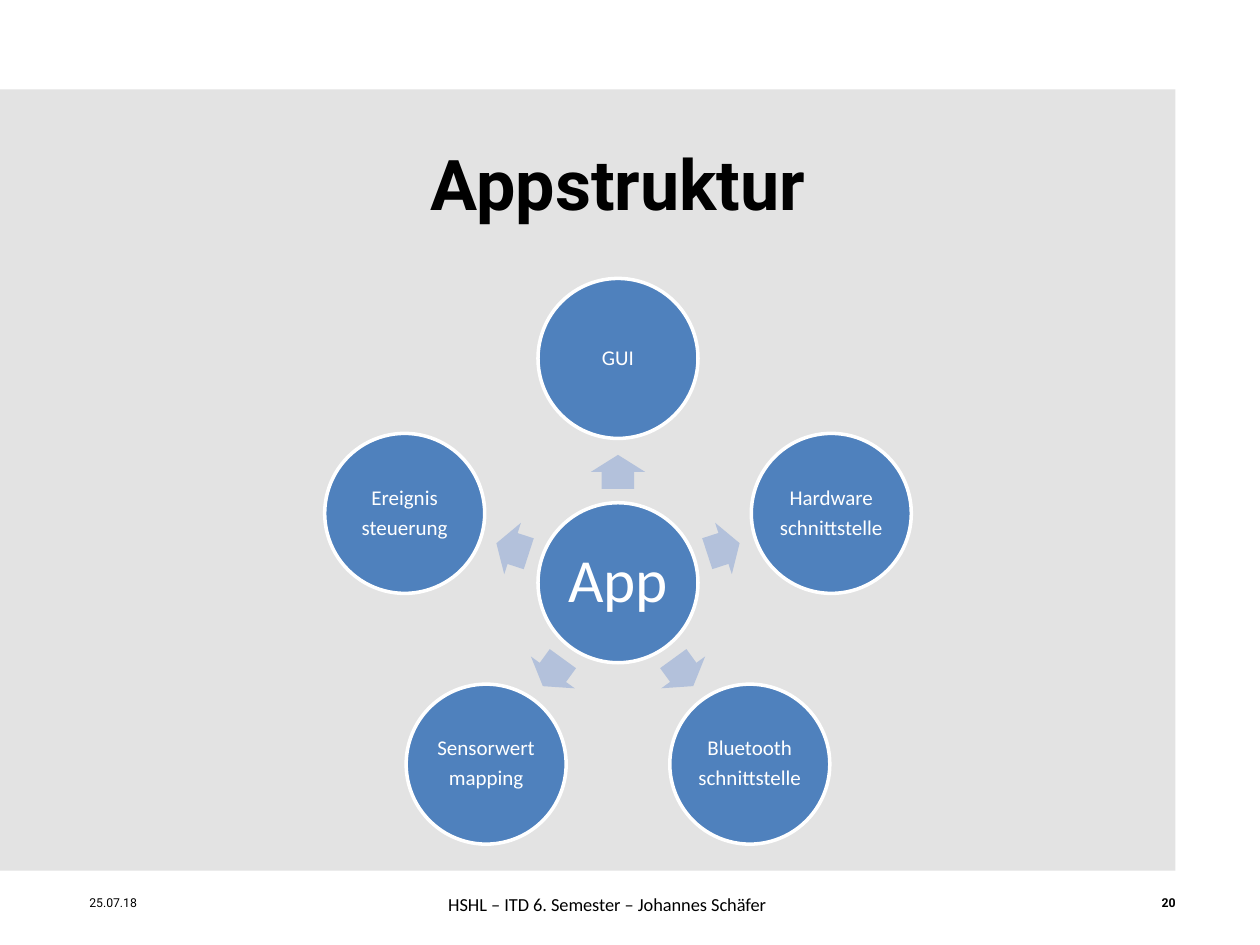
from dataclasses import dataclass
from math import cos, radians, sin

from pptx import Presentation
from pptx import util as u
from pptx.dml.color import RGBColor
from pptx.enum import shapes, text


@dataclass(frozen=True)
class Theme:
    panel: RGBColor = RGBColor(0xE3, 0xE3, 0xE3)
    node: RGBColor = RGBColor(0x4F, 0x81, 0xBD)
    arrow: RGBColor = RGBColor(0xB3, 0xC1, 0xDB)
    light: RGBColor = RGBColor(0xFF, 0xFF, 0xFF)
    dark: RGBColor = RGBColor(0, 0, 0)
    heading_font: str = "Roboto"
    body_font: str = "Calibri"
    title_size: float = 40
    hub_size: float = 35
    node_size: float = 12
    footer_size: float = 10.5
    meta_size: float = 7


THEME = Theme()
HUB_X, HUB_Y = 4.905, 4.625
NODE_DIAMETER = 1.27
NODE_ORBIT, ARROW_ORBIT = 1.78, 0.88
ARROW_WIDTH, ARROW_HEIGHT = 0.27, 0.43
PARTS = [
    "GUI",
    "Hardware\nschnittstelle",
    "Bluetooth\nschnittstelle",
    "Sensorwert\nmapping",
    "Ereignis\nsteuerung",
]


def write(holder, content, *, size, font=THEME.heading_font, color=THEME.dark,
          bold=False, align=text.PP_ALIGN.CENTER, anchor=text.MSO_ANCHOR.MIDDLE,
          inset=None, wrap=True, line_spacing=None, space_after=None):
    frame = holder.text_frame
    frame.word_wrap = wrap
    frame.vertical_anchor = anchor
    if inset is not None:
        frame.margin_left = frame.margin_right = u.Inches(inset)
        frame.margin_top = frame.margin_bottom = u.Inches(inset)
    frame.text = content
    for paragraph in frame.paragraphs:
        paragraph.alignment = align
        paragraph.line_spacing = line_spacing
        paragraph.space_after = space_after
        paragraph.font.size = u.Pt(size)
        paragraph.font.name = font
        paragraph.font.bold = bold
        paragraph.font.color.rgb = color


def add_text(slide, box, content, **style):
    holder = slide.shapes.add_textbox(*map(u.Inches, box))
    write(holder, content, **style)
    return holder


def add_solid(parent, kind, box, fill):
    solid = parent.shapes.add_shape(kind, *map(u.Inches, box))
    solid.shadow.inherit = False
    solid.fill.solid()
    solid.fill.fore_color.rgb = fill
    solid.line.fill.background()
    return solid


def centered(x, y, width, height):
    return x - width / 2, y - height / 2, width, height


def orbit(angle, radius):
    return (HUB_X + radius * cos(radians(angle)),
            HUB_Y + radius * sin(radians(angle)))


def add_node(diagram, center, label, size, inset):
    node = add_solid(diagram, shapes.MSO_SHAPE.OVAL,
                     centered(*center, NODE_DIAMETER, NODE_DIAMETER), THEME.node)
    node.line.color.rgb = THEME.light
    node.line.width = u.Pt(2)
    write(node, label, size=size, font=THEME.body_font, color=THEME.light,
          inset=inset, line_spacing=0.9, space_after=u.Pt(0.35 * size))


def add_arrow(diagram, angle):
    arrow = add_solid(diagram, shapes.MSO_SHAPE.RIGHT_ARROW,
                      centered(*orbit(angle, ARROW_ORBIT), ARROW_WIDTH, ARROW_HEIGHT),
                      THEME.arrow)
    arrow.adjustments[0] = 0.6
    arrow.adjustments[1] = 0.5
    arrow.rotation = angle


def add_diagram(slide):
    diagram = slide.shapes.add_group_shape()
    add_node(diagram, (HUB_X, HUB_Y), "App", THEME.hub_size, 0.05)
    for index, part in enumerate(PARTS):
        angle = (270 + index * 360 / len(PARTS)) % 360
        add_arrow(diagram, angle)
        add_node(diagram, orbit(angle, NODE_ORBIT), part, THEME.node_size, 0.02)


def main():
    deck = Presentation()
    deck.slide_width, deck.slide_height = u.Inches(10), u.Inches(7.5)
    slide = deck.slides.add_slide(deck.slide_layouts[6])

    add_solid(slide, shapes.MSO_SHAPE.RECTANGLE, (0, 0.71, 9.33, 6.2), THEME.panel)
    add_text(slide, (0.71, 0.82, 8.39, 1.25), "Appstruktur",
             size=THEME.title_size, bold=True)
    add_text(slide, (0.71, 7.1, 2.33, 0.12), "25.07.18", size=THEME.meta_size,
             align=text.PP_ALIGN.LEFT, inset=0)
    add_text(slide, (7, 7.1, 2.33, 0.12), "20", size=THEME.meta_size, bold=True,
             align=text.PP_ALIGN.RIGHT, inset=0)
    add_diagram(slide)
    footer = add_text(slide, (3.43, 7.04, 2.78, 0.28),
                      "HSHL – ITD 6. Semester – Johannes Schäfer",
                      size=THEME.footer_size, font=THEME.body_font,
                      anchor=text.MSO_ANCHOR.TOP, wrap=False)
    footer.text_frame.auto_size = text.MSO_AUTO_SIZE.SHAPE_TO_FIT_TEXT
    deck.save("out.pptx")


if __name__ == "__main__":
    main()
